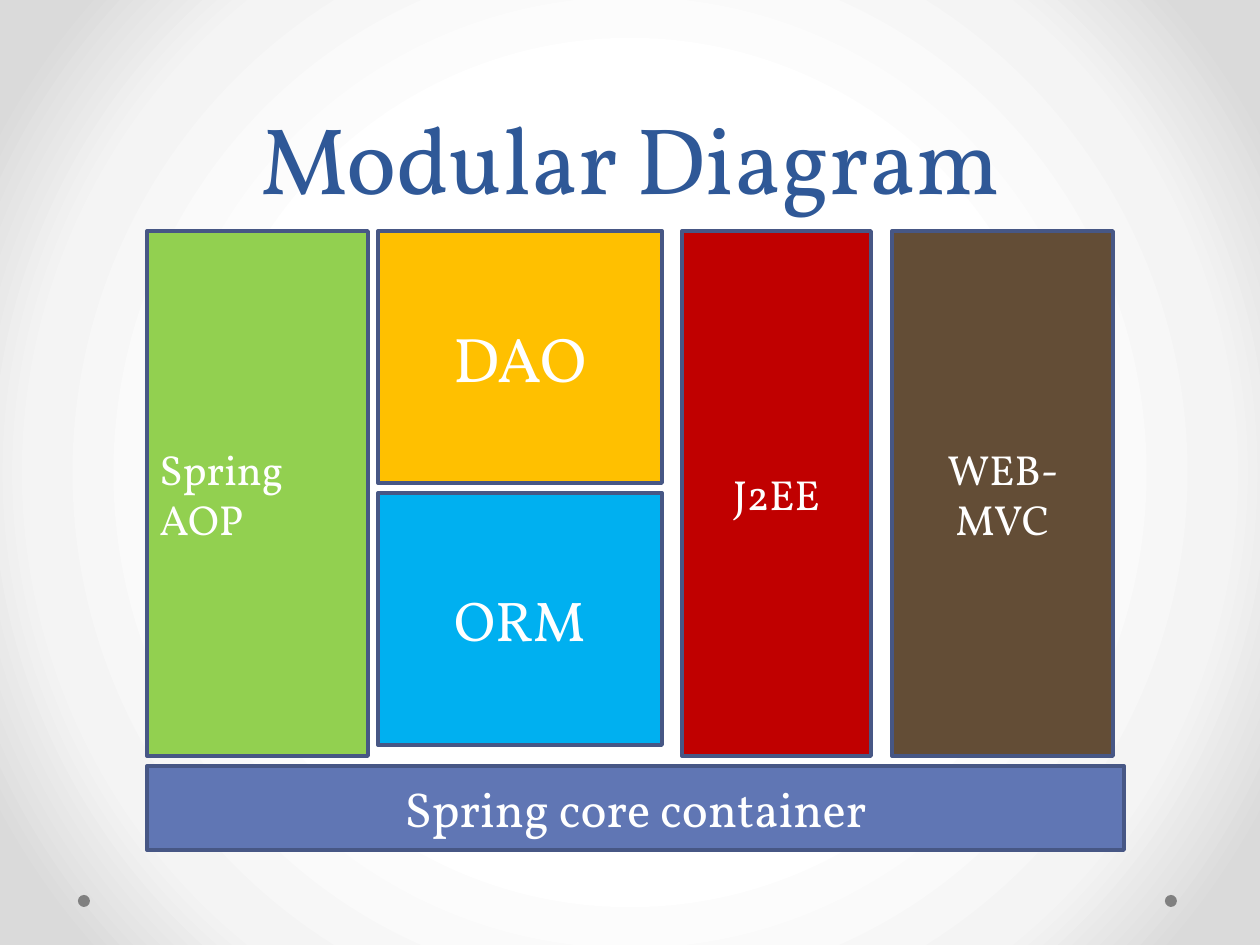
from lxml.etree import fromstring
from pptx import Presentation
from pptx.dml.color import RGBColor
from pptx.enum.shapes import MSO_SHAPE
from pptx.enum.text import MSO_ANCHOR, PP_ALIGN
from pptx.util import Pt

PIXEL = 914400 // 126
THEME = {
    "font": "Vollkorn", "title": "2F5897", "text": "FFFFFF",
    "outline": "475785", "outline_width": 2.25, "dot": "808080",
    "title_size": 54, "title_spacing": 58,
    "backdrop": [(50, "FFFFFF"), (76, "F4F4F4"), (92, "DADADA")],
}
TITLE = "Modular Diagram"
LEFT, TOP, TALL = 147, 231, 525
HALF, GAP = 252, 10
CORE = ("Spring core container", "6076B4", 28, PP_ALIGN.CENTER)
# Each column: left, width, and its modules (text, fill, size, alignment)
COLUMNS = [
    (LEFT, 221, [("Spring AOP", "92D050", 24, PP_ALIGN.LEFT)]),
    (378, 284, [("DAO", "FFC000", 36, PP_ALIGN.CENTER),
                ("ORM", "00B0F0", 32, PP_ALIGN.CENTER)]),
    (682, 189, [("J2EE", "C00000", 24, PP_ALIGN.CENTER)]),
    (892, 221, [("WEB-MVC", "634D36", 24, PP_ALIGN.CENTER)]),
]
DOT_LEFTS, DOT_TOP, DOT_SIZE = (1165, 78), 895, 12


def emu(*pixels):
    """Turn pixel lengths into EMU."""
    return [value * PIXEL for value in pixels]


def style_text(frame, size, color, align):
    """Format every run of a text frame."""
    for para in frame.paragraphs:
        para.alignment = align
        for span in para.runs:
            span.font.name = THEME["font"]
            span.font.size = Pt(size)
            span.font.color.rgb = RGBColor.from_string(color)


def paint_background(page):
    """Give the page a circular gradient."""
    fill = page.background.fill
    fill.solid()
    solid = page.element.xpath(".//p:bgPr/a:solidFill")[0]
    stops = "".join(
        f'<a:gs pos="{pos * 1000}"><a:srgbClr val="{color}"/></a:gs>'
        for pos, color in THEME["backdrop"])
    gradient = fromstring(
        '<a:gradFill xmlns:a="http://schemas.openxmlformats.org/drawingml/2006/main"'
        f' rotWithShape="1"><a:gsLst>{stops}</a:gsLst><a:path path="circle">'
        '<a:fillToRect l="50000" t="50000" r="50000" b="50000"/></a:path></a:gradFill>')
    solid.getparent().replace(solid, gradient)


def add_filled(page, kind, place, color):
    """Add a flat shape without a shadow."""
    shape = page.shapes.add_shape(kind, *emu(*place))
    shape.shadow.inherit = False
    shape.fill.solid()
    shape.fill.fore_color.rgb = RGBColor.from_string(color)
    return shape


def add_module(page, place, module):
    """Add one outlined, labelled block."""
    text, color, size, align = module
    box = add_filled(page, MSO_SHAPE.RECTANGLE, place, color)
    box.line.color.rgb = RGBColor.from_string(THEME["outline"])
    box.line.width = Pt(THEME["outline_width"])
    frame = box.text_frame
    frame.text = text
    frame.word_wrap = True
    frame.vertical_anchor = MSO_ANCHOR.MIDDLE
    style_text(frame, size, THEME["text"], align)


def add_title(page):
    """Place and format the title."""
    title = page.shapes.title
    title.left, title.top, title.width, title.height = emu(63, 0, 1134, 220)
    frame = title.text_frame
    frame.text = TITLE
    frame.vertical_anchor = MSO_ANCHOR.BOTTOM
    frame.paragraphs[0].line_spacing = Pt(THEME["title_spacing"])
    style_text(frame, THEME["title_size"], THEME["title"], PP_ALIGN.CENTER)


def build():
    """Build and save the deck."""
    deck = Presentation()
    deck.slide_width, deck.slide_height = emu(1260, 945)
    page = deck.slides.add_slide(deck.slide_layouts[5])
    paint_background(page)
    for left in DOT_LEFTS:
        dot = add_filled(page, MSO_SHAPE.OVAL,
                         (left, DOT_TOP, DOT_SIZE, DOT_SIZE), THEME["dot"])
        dot.line.fill.background()
    add_title(page)
    add_module(page, (LEFT, TOP + TALL + GAP, 977, 84), CORE)
    for left, width, modules in COLUMNS:
        height = TALL if len(modules) == 1 else HALF
        for row, module in enumerate(modules):
            top = TOP + row * (height + GAP)
            add_module(page, (left, top, width, height), module)
    deck.save("out.pptx")


build()
